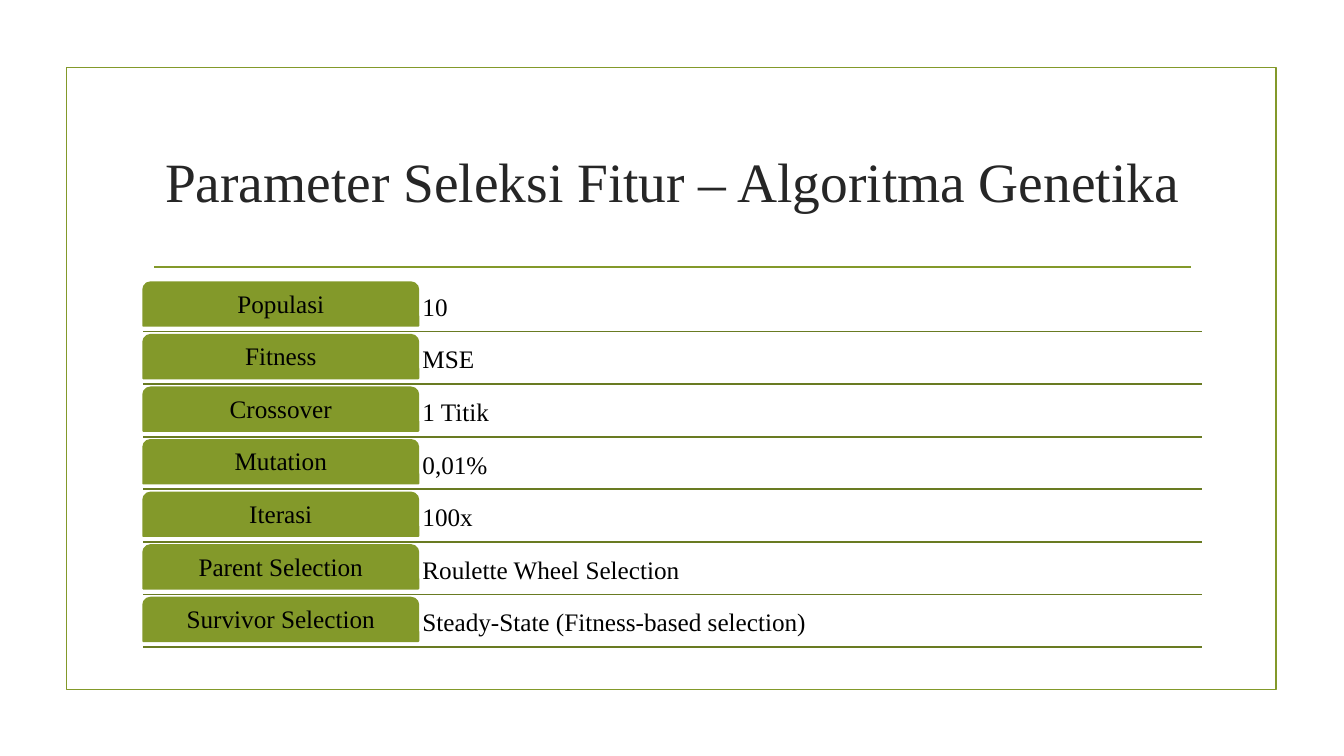
from lxml import etree
from pptx import Presentation, util as u
from pptx.dml.color import RGBColor
from pptx.enum import shapes, text
from pptx.oxml.ns import qn

FONT = "Times New Roman"
OLIVE, DARK_OLIVE = "83992A", "697B22"
BORDER = 1.25

PARAMETERS = [
    ("Populasi", "10"),
    ("Fitness", "MSE"),
    ("Crossover", "1 Titik"),
    ("Mutation", "0,01%"),
    ("Iterasi", "100x"),
    ("Parent Selection", "Roulette Wheel Selection"),
    ("Survivor Selection", "Steady-State (Fitness-based selection)"),
]


def color(hex_code):
    return RGBColor.from_string(hex_code)


def inches(*lengths):
    return [u.Inches(length) for length in lengths]


def write(shape, words, size, ink="000000", align=text.PP_ALIGN.CENTER,
          anchor=text.MSO_ANCHOR.MIDDLE, spacing=1.0, inset=0.04):
    frame = shape.text_frame
    frame.word_wrap = True
    frame.vertical_anchor = anchor
    frame.margin_left = frame.margin_right = u.Inches(inset)
    frame.margin_top = frame.margin_bottom = u.Inches(inset)
    paragraph = frame.paragraphs[0]
    paragraph.alignment = align
    paragraph.line_spacing = spacing
    run = paragraph.add_run()
    run.text = words
    run.font.name = FONT
    run.font.size = u.Pt(size)
    run.font.color.rgb = color(ink)


def add_rule(slide, left, right, y, ink):
    rule = slide.shapes.add_connector(
        shapes.MSO_CONNECTOR.STRAIGHT, *inches(left, y, right, y))
    rule.line.color.rgb = color(ink)
    rule.line.width = u.Pt(BORDER)
    etree.SubElement(rule._element.spPr, qn("a:effectLst"))


def add_panel(slide, preset, box, fill=None):
    panel = slide.shapes.add_shape(preset, *inches(*box))
    panel.shadow.inherit = False
    if fill:
        panel.fill.solid()
        panel.fill.fore_color.rgb = color(fill)
    else:
        panel.fill.background()
    panel.line.color.rgb = color(OLIVE)
    panel.line.width = u.Pt(BORDER)
    return panel


def add_heading(slide, left, top, width, height):
    """Title with a slightly narrower rule below it."""
    title = slide.shapes.add_textbox(*inches(left, top, width, height))
    write(title, "Parameter Seleksi Fitur – Algoritma Genetika", 39.6, "262626", inset=0.05)
    add_rule(slide, left + 0.11, left + width - 0.11, top + height + 0.15, OLIVE)


def add_parameter_list(slide, left, top, width, height):
    """One row per parameter: label tab, value and a rule below."""
    row_height = height / len(PARAMETERS)
    tab_width, tab_height = 0.26 * width, 0.83 * row_height
    for row, (label, value) in enumerate(PARAMETERS):
        y = top + row * row_height
        add_rule(slide, left, left + width, y + 0.94 * row_height, DARK_OLIVE)
        value_box = slide.shapes.add_textbox(
            *inches(left + tab_width, y, width - tab_width, tab_height))
        write(value_box, value, 18, align=text.PP_ALIGN.LEFT,
              anchor=text.MSO_ANCHOR.BOTTOM, spacing=0.9)
        tab = add_panel(slide, shapes.MSO_SHAPE.ROUND_2_SAME_RECTANGLE,
                        (left, y, tab_width, tab_height), OLIVE)
        write(tab, label, 18, spacing=0.9)


def main():
    deck = Presentation()
    deck.slide_width, deck.slide_height = inches(13.33, 7.5)
    slide = deck.slides.add_slide(deck.slide_layouts[6])
    add_panel(slide, shapes.MSO_SHAPE.RECTANGLE, (0.66, 0.67, 12, 6.17))
    add_heading(slide, 1.42, 1.07, 10.5, 1.43)
    add_parameter_list(slide, 1.42, 2.8, 10.5, 3.65)
    deck.save("out.pptx")


if __name__ == "__main__":
    main()
